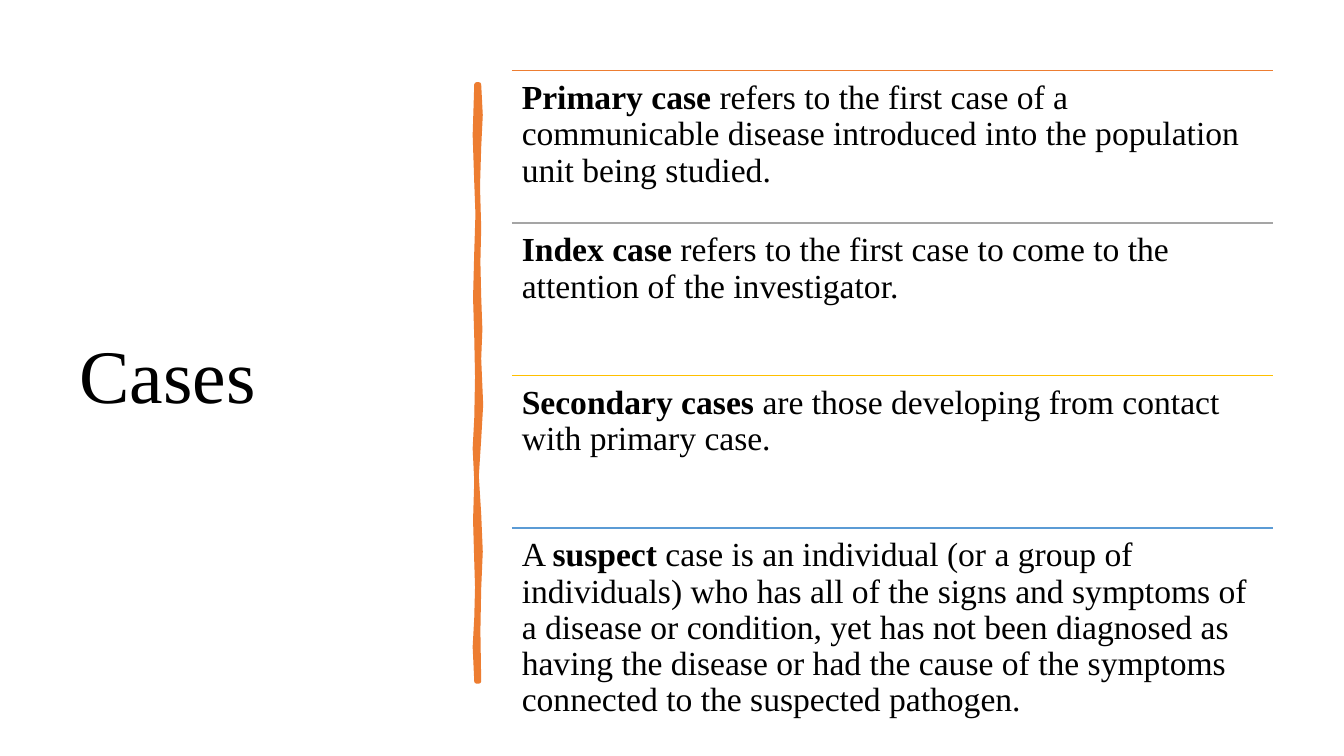
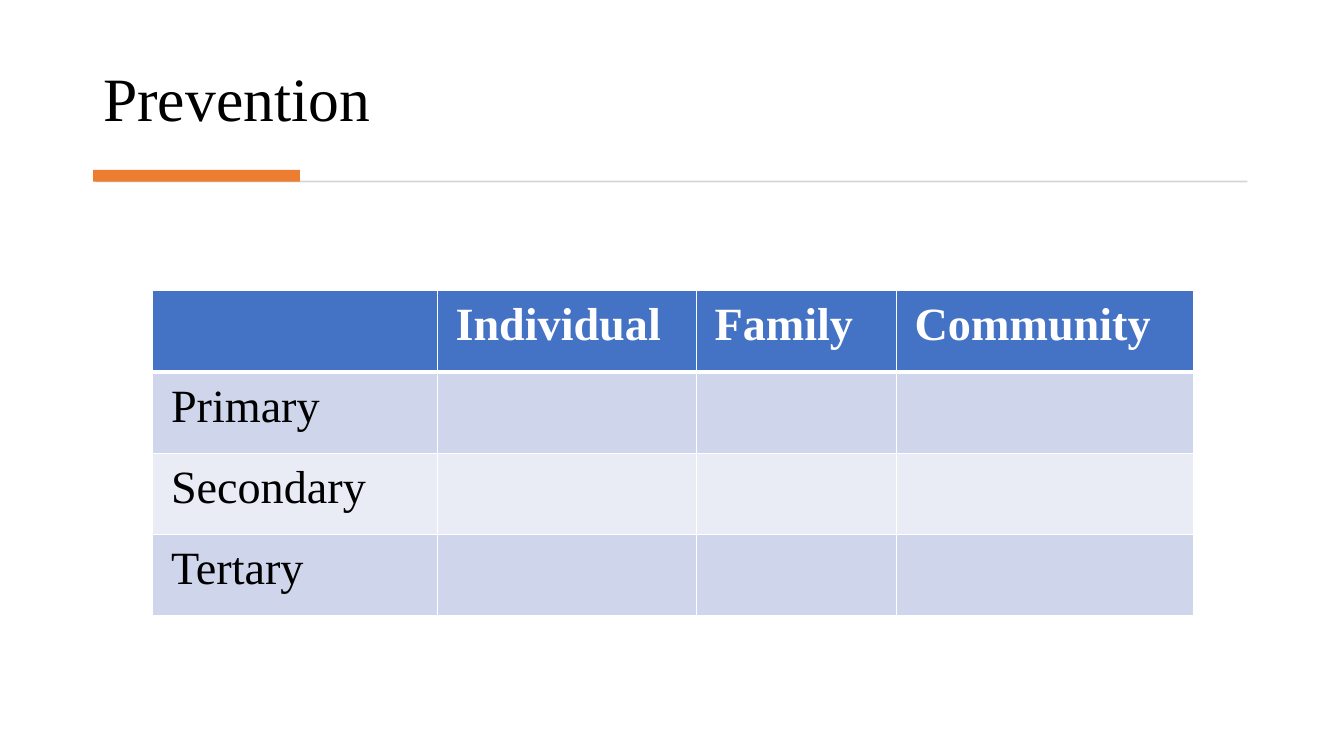
from lxml import etree
from pptx import Presentation
from pptx.dml.color import RGBColor
from pptx.enum.shapes import MSO_CONNECTOR, MSO_SHAPE
from pptx.enum.text import MSO_ANCHOR as ANCHOR
from pptx.oxml import parse_xml
from pptx.oxml.ns import nsdecls, qn
from pptx.util import Cm, Pt

BLACK = RGBColor(0x00, 0x00, 0x00)
WHITE = RGBColor(0xFF, 0xFF, 0xFF)
ORANGE = RGBColor(0xED, 0x7D, 0x31)
GRAY = RGBColor(0xA5, 0xA5, 0xA5)
GOLD = RGBColor(0xFF, 0xC0, 0x00)
SKY = RGBColor(0x5B, 0x9B, 0xD5)
RULE_GRAY = RGBColor(0xD5, 0xD5, 0xD5)
HEADER_BLUE = RGBColor(0x44, 0x72, 0xC4)
BANDS = [RGBColor(0xCF, 0xD5, 0xEA), RGBColor(0xE9, 0xEB, 0xF5)]
FONT = "Times New Roman"


def write(tf, runs, size, color=BLACK, line_spacing=None):
    """Fill the first paragraph with (text, bold) runs."""
    p = tf.paragraphs[0]
    p.line_spacing = line_spacing
    for text, bold in runs:
        r = p.add_run()
        r.text = text
        r.font.color.rgb = color
        for name, value in {"name": FONT, "size": Pt(size), "bold": bold}.items():
            setattr(r.font, name, value)


def add_text(s, box, runs, size, anchor=ANCHOR.TOP, inset=0.13):
    """Add a wrapped text box; inset is the top and bottom margin in cm."""
    tf = s.shapes.add_textbox(*map(Cm, box)).text_frame
    settings = {"word_wrap": True, "vertical_anchor": anchor,
                "margin_left": Cm(0.25), "margin_right": Cm(0.25),
                "margin_top": Cm(inset), "margin_bottom": Cm(inset)}
    for name, value in settings.items():
        setattr(tf, name, value)
    write(tf, runs, size, line_spacing=0.9)


prs = Presentation()
prs.slide_width, prs.slide_height = Cm(33.87), Cm(19.05)
blank = prs.slide_layouts[6]

# Slide 1: kinds of cases
s = prs.slides.add_slide(blank)
add_text(s, (1.75, 1.78, 9.5, 15.52), [("Cases", False)], 54, ANCHOR.MIDDLE)

right_edge = [(12.07, 2.13), (12.11, 2.9), (12.07, 3.71), (12.04, 4.7), (12.07, 5.74),
              (12.05, 6.6), (12.07, 7.47), (12.1, 8.3), (12.07, 9.04), (12.12, 10.2),
              (12.07, 11.07), (12.01, 12), (12.07, 12.95), (12.11, 13.9),
              (12.07, 14.83), (12.05, 15.9), (12.07, 17.17)]
left_edge = [(12.01, 17.17), (11.97, 16.3), (12.01, 15.57), (12.03, 14.8), (12.01, 14.15),
             (11.98, 13.1), (12.01, 12.12), (11.97, 11.3), (12.01, 10.54), (12.03, 9.5),
             (12.01, 8.51), (11.98, 7.5), (12.01, 6.35), (12.04, 5.4), (12.01, 4.6),
             (11.97, 3.4), (12.01, 2.13)]
start, *rest = [(Cm(x), Cm(y)) for x, y in right_edge + left_edge]
builder = s.shapes.build_freeform(*start)
builder.add_line_segments(rest, close=True)
stroke = builder.convert_to_shape()
stroke.shadow.inherit = False
stroke.fill.solid()
stroke.fill.fore_color.rgb = ORANGE
stroke.line.color.rgb = ORANGE
stroke.line.width = Pt(3.25)

cases = [
    (ORANGE, [("Primary case ", True),
              ("refers to the first case of a communicable disease introduced into "
               "the population unit being studied.", False)]),
    (GRAY, [("Index case ", True),
            ("refers to the first case to come to the attention of the investigator.", False)]),
    (GOLD, [("Secondary cases ", True),
            ("are those developing from contact with primary case.", False)]),
    (SKY, [("A ", False), ("suspect ", True),
           ("case is an individual (or a group of individuals) who has all of the signs "
            "and symptoms of a disease or condition, yet has not been diagnosed as having "
            "the disease or had the cause of the symptoms connected to the suspected "
            "pathogen.", False)]),
]
left, top, width, pitch = 12.9, 1.78, 19.18, 3.84
for i, (color, runs) in enumerate(cases):
    y = top + i * pitch
    line = s.shapes.add_connector(MSO_CONNECTOR.STRAIGHT, Cm(left), Cm(y),
                                  Cm(left + width), Cm(y))
    line.line.color.rgb = color
    line.line.width = Pt(1)
    etree.SubElement(line._element.spPr, qn("a:effectLst"))
    add_text(s, (left, y, width, pitch), runs, 24, inset=0.25)

# Slide 2: prevention table
s = prs.slides.add_slide(blank)
add_text(s, (2.35, 0.7, 29.18, 2.83), [("Prevention", False)], 44, ANCHOR.BOTTOM)

for box, color in [((2.41, 4.55, 29.03, 0.05), RULE_GRAY),
                   ((2.35, 4.28, 5.21, 0.3), ORANGE)]:
    bar = s.shapes.add_shape(MSO_SHAPE.RECTANGLE, *map(Cm, box))
    bar.shadow.inherit = False
    bar.fill.solid()
    bar.fill.fore_color.rgb = color
    bar.line.fill.background()

rows = [["", "Individual", "Family", "Community"],
        ["Primary", "", "", ""],
        ["Secondary", "", "", ""],
        ["Tertary", "", "", ""]]
col_widths = [7.17, 6.53, 5.04, 7.49]
row_height = 2.05
table = s.shapes.add_table(len(rows), len(col_widths), Cm(3.85), Cm(7.32),
                           Cm(sum(col_widths)), Cm(row_height * len(rows))).table
for col, col_width in zip(table.columns, col_widths):
    col.width = Cm(col_width)
for i, texts in enumerate(rows):
    table.rows[i].height = Cm(row_height)
    header = i == 0
    border_widths = {"lnL": 1, "lnR": 1, "lnT": 3 if i == 1 else 1, "lnB": 3 if header else 1}
    for j, text in enumerate(texts):
        cell = table.cell(i, j)
        for tag, points in border_widths.items():
            cell._tc.get_or_add_tcPr().append(parse_xml(
                f'<a:{tag} {nsdecls("a")} w="{Pt(points)}"><a:solidFill>'
                f'<a:srgbClr val="{WHITE}"/></a:solidFill></a:{tag}>'))
        cell.fill.solid()
        cell.fill.fore_color.rgb = HEADER_BLUE if header else BANDS[(i - 1) % 2]
        cell.margin_left = cell.margin_right = Cm(0.46)
        cell.margin_top = cell.margin_bottom = Cm(0.23)
        if text:
            write(cell.text_frame, [(text, header)], 33, WHITE if header else BLACK)

prs.save("out.pptx")
